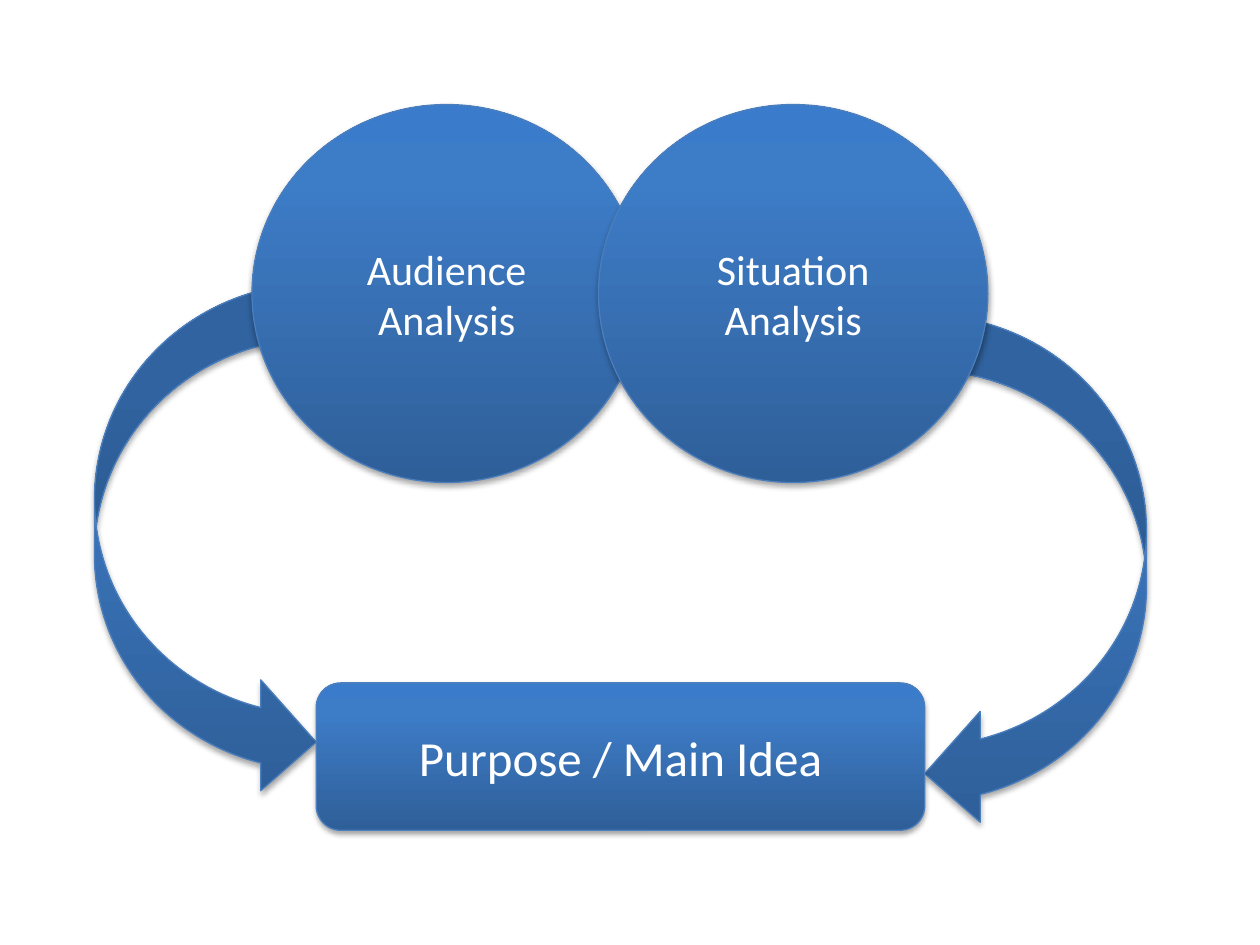
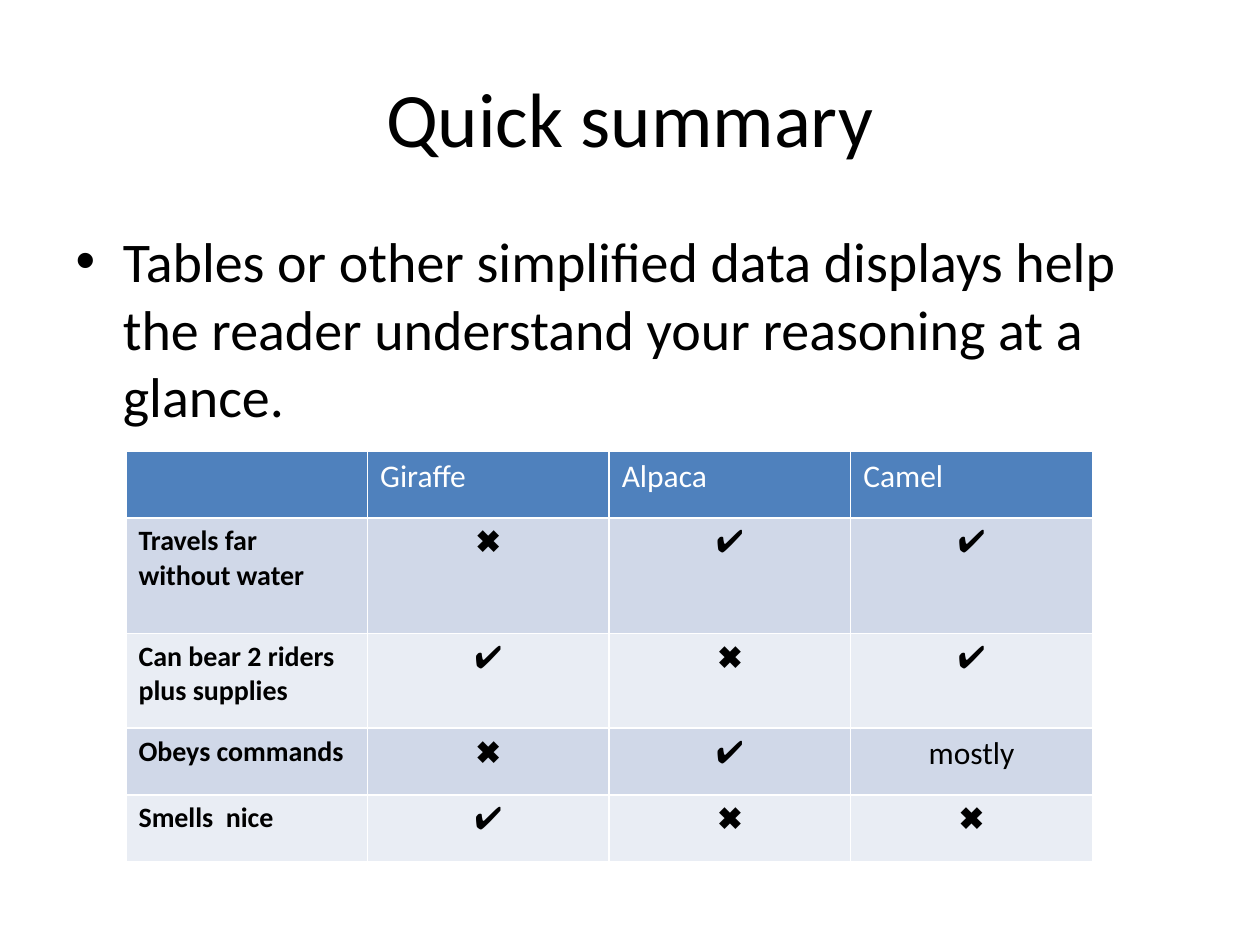
import copy

import lxml.etree
import pptx
import pptx.dml.color
import pptx.enum.shapes
import pptx.enum.text
import pptx.oxml.ns
import pptx.util

PX = 9144  # EMU per px, 100 px to the inch
FONT = "Calibri"
WHITE, BLACK = "FFFFFF", "000000"
HEADER, BAND_DARK, BAND_LIGHT = "4F81BD", "D0D8E8", "E9EDF4"
OUTLINE = "4B7EBC"
GRADIENT = [(0, "2F5F99"), (0.8, "3D7CC7"), (1, "3A7CCB")]

qn = pptx.oxml.ns.qn
rgb = pptx.dml.color.RGBColor.from_string
SHAPE = pptx.enum.shapes.MSO_SHAPE
ALIGN = pptx.enum.text.PP_ALIGN
MIDDLE = pptx.enum.text.MSO_ANCHOR.MIDDLE


def write(text_frame, text, size, color, align, font=FONT, bold=False):
    paragraph = text_frame.paragraphs[0]
    paragraph.text = text
    paragraph.alignment = align
    values = {"name": font, "size": pptx.util.Pt(size), "bold": bold}
    for run in paragraph.runs:
        for name, value in values.items():
            setattr(run.font, name, value)
        run.font.color.rgb = rgb(color)


def add_glossy_shape(shapes, kind, left, top, width, height):
    """Add a shape with the shared blue gradient, outline and soft shadow."""
    shape = shapes.add_shape(kind, *(PX * n for n in (left, top, width, height)))
    shape.fill.gradient()
    shape.fill.gradient_angle = 90
    stop_list = next(shape._element.iter(qn("a:gsLst")))
    stop_list.append(copy.deepcopy(stop_list[-1]))
    for stop, (position, color) in zip(shape.fill.gradient_stops, GRADIENT):
        stop.position = position
        stop.color.rgb = rgb(color)
    shape.line.color.rgb = rgb(OUTLINE)
    shape.line.width = pptx.util.Pt(0.75)

    shape.shadow.inherit = False
    effects = next(shape._element.iter(qn("a:effectLst")))
    shadow = lxml.etree.SubElement(
        effects, qn("a:outerShdw"), blurRad="40000", dist="23000", dir="5400000", rotWithShape="0")
    shade = lxml.etree.SubElement(shadow, qn("a:srgbClr"), val=BLACK)
    lxml.etree.SubElement(shade, qn("a:alpha"), val="35000")
    return shape


presentation = pptx.Presentation()
presentation.slide_width = 1000 * PX
presentation.slide_height = 750 * PX

# Slide 1: two analyses lead to the main idea
slide = presentation.slides.add_slide(presentation.slide_layouts[6])

arrows = slide.shapes.add_group_shape()
for left, top, flipped in [(734, 250, True), (75, 225, False)]:
    arrow = add_glossy_shape(arrows.shapes, SHAPE.CURVED_RIGHT_ARROW, left, top, 176, 408)
    if flipped:
        arrow._element.spPr.find(qn("a:xfrm")).set("flipH", "1")

circles = slide.shapes.add_group_shape()
for left, label in [(200, "Audience\nAnalysis"), (475, "Situation\nAnalysis")]:
    circle = add_glossy_shape(circles.shapes, SHAPE.OVAL, left, 83, 309, 300)
    circle.text_frame.vertical_anchor = MIDDLE
    write(circle.text_frame, label, 24, WHITE, ALIGN.CENTER)

main_idea = add_glossy_shape(slide.shapes, SHAPE.ROUNDED_RECTANGLE, 251, 542, 483, 117)
main_idea.text_frame.vertical_anchor = MIDDLE
write(main_idea.text_frame, "Purpose / Main Idea", 28, WHITE, ALIGN.CENTER)

# Slide 2: summary table
slide = presentation.slides.add_slide(presentation.slide_layouts[1])
title, body = slide.placeholders
for placeholder, top, height in [(title, 30, 125), (body, 175, 183)]:
    box = {"left": 50, "top": top, "width": 900, "height": height}
    for name, value in box.items():
        setattr(placeholder, name, value * PX)
title.text_frame.vertical_anchor = MIDDLE
write(title.text_frame, "Quick summary", 44, BLACK, ALIGN.CENTER)
write(body.text_frame,
      "Tables or other simplified data displays help the reader understand "
      "your reasoning at a glance.", 32, BLACK, ALIGN.LEFT)

YES, NO = "✔", "✖"
rows = [
    (53, ["", "Giraffe", "Alpaca", "Camel"]),
    (92, ["Travels far without water", NO, YES, YES]),
    (75, ["Can bear 2 riders plus supplies", YES, NO, YES]),
    (53, ["Obeys commands", NO, YES, "mostly"]),
    (53, ["Smells  nice", YES, NO, NO]),
]
table = slide.shapes.add_table(
    len(rows), 4, 100 * PX, 358 * PX, 767 * PX, 325 * PX).table
for column in table.columns:
    column.width = 767 * PX // 4

for row_index, (height, texts) in enumerate(rows):
    table.rows[row_index].height = height * PX
    for column_index, text in enumerate(texts):
        cell = table.cell(row_index, column_index)
        if row_index == 0:
            fill = HEADER
            write(cell.text_frame, text, 18, WHITE, ALIGN.LEFT)
        else:
            fill = BAND_DARK if row_index % 2 else BAND_LIGHT
            if column_index == 0:
                write(cell.text_frame, text, 16, BLACK, ALIGN.LEFT, bold=True)
            else:
                font = "Arial" if text in (YES, NO) else FONT
                write(cell.text_frame, text, 18, BLACK, ALIGN.CENTER, font)

        properties = cell._tc.get_or_add_tcPr()
        for side in ("a:lnL", "a:lnR", "a:lnT", "a:lnB"):
            border = lxml.etree.SubElement(properties, qn(side), w="12700")
            solid = lxml.etree.SubElement(border, qn("a:solidFill"))
            lxml.etree.SubElement(solid, qn("a:srgbClr"), val=WHITE)
        cell.fill.solid()
        cell.fill.fore_color.rgb = rgb(fill)

presentation.save("out.pptx")
